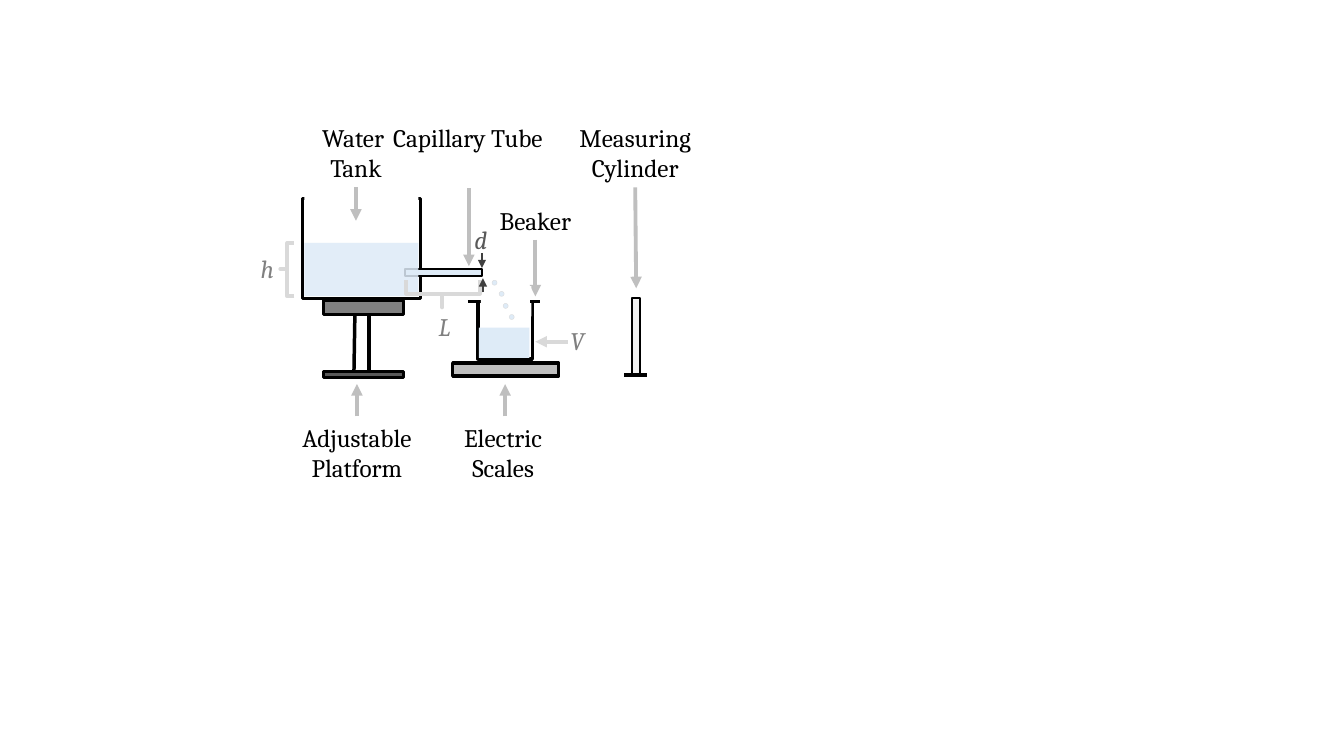
from lxml import etree
from pptx import Presentation
from pptx.dml.color import RGBColor
from pptx.enum.shapes import MSO_CONNECTOR, MSO_SHAPE
from pptx.enum.text import MSO_AUTO_SIZE, PP_ALIGN
from pptx.oxml.ns import qn
from pptx.util import Inches, Pt

RECT, OVAL, BRACE = MSO_SHAPE.RECTANGLE, MSO_SHAPE.OVAL, MSO_SHAPE.RIGHT_BRACE
LINE = MSO_CONNECTOR.STRAIGHT
FIT = MSO_AUTO_SIZE.SHAPE_TO_FIT_TEXT
CENTER = PP_ALIGN.CENTER

BLACK = RGBColor(0x00, 0x00, 0x00)
WHITE = RGBColor(0xFF, 0xFF, 0xFF)
WATER = RGBColor(0xDE, 0xEB, 0xF7)
GLASS = RGBColor(0xF2, 0xF2, 0xF2)
PALE = RGBColor(0xD9, 0xD9, 0xD9)
SILVER = RGBColor(0xBF, 0xBF, 0xBF)
GRAY = RGBColor(0x80, 0x80, 0x80)
SLATE = RGBColor(0x59, 0x59, 0x59)
DARK = RGBColor(0x40, 0x40, 0x40)

FONT = {"name": "Cambria", "size": Pt(18)}


def add_part(shapes, box, fill=None, color=None, width=0, kind=RECT):
    """Add a shape; without a fill or a line colour that side stays empty."""
    part = shapes.add_shape(kind, *map(Inches, box))
    part.shadow.inherit = False
    if fill is None:
        part.fill.background()
    else:
        part.fill.solid()
        part.fill.fore_color.rgb = fill
    if color is None:
        part.line.fill.background()
    else:
        part.line.color.rgb = color
        part.line.width = Pt(width)
    return part


def add_line(shapes, start, end, color=BLACK, width=2.5, head=False):
    line = shapes.add_connector(LINE, *map(Inches, start + end))
    line.line.color.rgb = color
    line.line.width = Pt(width)
    if head:
        tip = etree.SubElement(line.line._get_or_add_ln(), qn("a:tailEnd"))
        tip.set("type", "triangle")
    etree.SubElement(line._element.spPr, qn("a:effectLst"))


def add_arrow(shapes, start, end, color=SILVER, width=2.75):
    add_line(shapes, start, end, color, width, True)


def add_label(shapes, x, y, lines, color=BLACK, italic=False, w=1.72):
    h = 0.4 if len(lines) == 1 else 0.71
    frame = shapes.add_textbox(*map(Inches, (x, y, w, h))).text_frame
    frame.word_wrap = True
    frame.auto_size = FIT
    for i, words in enumerate(lines):
        para = frame.add_paragraph() if i else frame.paragraphs[0]
        para.alignment = CENTER
        run = para.add_run()
        run.text = words
        for key, value in {**FONT, "italic": italic}.items():
            setattr(run.font, key, value)
        run.font.color.rgb = color


def add_brace(shapes, box, turn):
    brace = add_part(shapes, box, None, PALE, 2.75, BRACE)
    brace.rotation = turn
    brace.adjustments[0] = 0
    brace.adjustments[1] = 0.514


def add_tank(shapes, x, y):
    """Draw an open tank: a box whose top edge is masked."""
    tank = shapes.add_group_shape().shapes
    add_part(tank, (x, y + 0.26, 1.17, 0.99), WHITE, BLACK, 2.5)
    add_part(tank, (x + 0.02, y, 1.13, 0.53), WHITE)


def add_stand(shapes, x, y):
    add_part(shapes, (x, y, 0.79, 0.14), GRAY, BLACK, 2.25)
    add_line(shapes, (x + 0.45, y + 0.15), (x + 0.45, y + 0.76))
    add_line(shapes, (x + 0.31, y + 0.15), (x + 0.3, y + 0.75))
    add_part(shapes, (x, y + 0.71, 0.79, 0.06), SLATE, BLACK, 2.25)


def add_cylinder(shapes, x, y):
    glass = shapes.add_group_shape().shapes
    add_part(glass, (x + 0.08, y, 0.08, 0.76), GLASS, BLACK, 1.25)
    add_line(glass, (x, y + 0.76), (x + 0.23, y + 0.76))


def add_beaker(shapes, x, y):
    """Draw an open beaker with a lip on each side and water inside."""
    glass = shapes.add_group_shape().shapes
    add_part(glass, (x + 0.1, y + 0.15, 0.54, 0.57), WHITE, BLACK, 2.5)
    add_part(glass, (x + 0.13, y, 0.5, 0.3), WHITE)
    for lip in (x, x + 0.62):
        add_line(glass, (lip, y + 0.15), (lip + 0.1, y + 0.15))
    add_part(glass, (x + 0.11, y + 0.41, 0.5, 0.3), WATER)


def add_names(shapes):
    """Name each part of the apparatus, with an arrow pointing to it."""
    names = [
        (2.68, 4.14, ["Adjustable", "Platform"], (3.54, 4.13), (3.54, 3.81)),
        (4.13, 4.14, ["Electric", "Scales"], (5.01, 4.13), (5.01, 3.81)),
        (2.67, 1.16, ["Water ", "Tank"], (3.53, 1.86), (3.53, 2.19)),
        (3.78, 1.16, ["Capillary Tube"], (4.65, 1.87), (4.65, 2.64)),
        (4.45, 1.99, ["Beaker"], (5.31, 2.38), (5.31, 2.94)),
        (5.44, 1.16, ["Measuring", "Cylinder"], (6.3, 1.86), (6.31, 2.86)),
    ]
    for x, y, lines, start, end in names:
        add_arrow(shapes, start, end)
        add_label(shapes, x, y, lines)


def add_water(shapes, box):
    water = add_part(shapes, box, WATER)
    tint = water.fill._xPr.find(".//" + qn("a:srgbClr"))
    etree.SubElement(tint, qn("a:alpha")).set("val", "85000")


def add_sizes(shapes):
    """Mark the measured quantities h, L, d and V."""
    add_brace(shapes, (2.78, 2.41, 0.14, 0.53), 180)
    add_brace(shapes, (4.26, 2.55, 0.27, 0.73), 90)
    add_arrow(shapes, (4.78, 2.51), (4.78, 2.66), DARK, 1)
    add_arrow(shapes, (4.79, 2.9), (4.79, 2.76), DARK, 1)
    add_arrow(shapes, (5.63, 3.39), (5.31, 3.39), PALE)
    for x, y, sign, color, w in [
        (1.79, 2.46, "h", GRAY, 1.72),
        (3.55, 3.04, "L", GRAY, 1.72),
        (3.91, 2.18, "d", SLATE, 1.72),
        (5.27, 3.18, "V", GRAY, 0.91),
    ]:
        add_label(shapes, x, y, [sign], color, True, w)


def add_drops(shapes, x, y):
    for dx, dy in [(0, 0), (0.07, 0.11), (0.11, 0.23), (0.17, 0.34)]:
        add_part(shapes, (x + dx, y + dy, 0.05, 0.05), WATER, PALE, 0.25, OVAL)


def main():
    deck = Presentation()
    deck.slide_width, deck.slide_height = Inches(13.33), Inches(7.5)
    shapes = deck.slides.add_slide(deck.slide_layouts[6]).shapes
    add_tank(shapes, 3, 1.71)
    add_part(shapes, (4.02, 2.67, 0.76, 0.07), WATER, BLACK, 1.5)
    add_part(shapes, (4.49, 3.6, 1.05, 0.13), SILVER, BLACK, 2.5)
    add_cylinder(shapes, 6.19, 2.96)
    add_stand(shapes, 3.21, 2.98)
    add_names(shapes)
    add_beaker(shapes, 4.64, 2.84)
    add_water(shapes, (3.02, 2.41, 1.13, 0.53))
    add_sizes(shapes)
    add_drops(shapes, 4.88, 2.78)
    deck.save("out.pptx")


if __name__ == "__main__":
    main()
